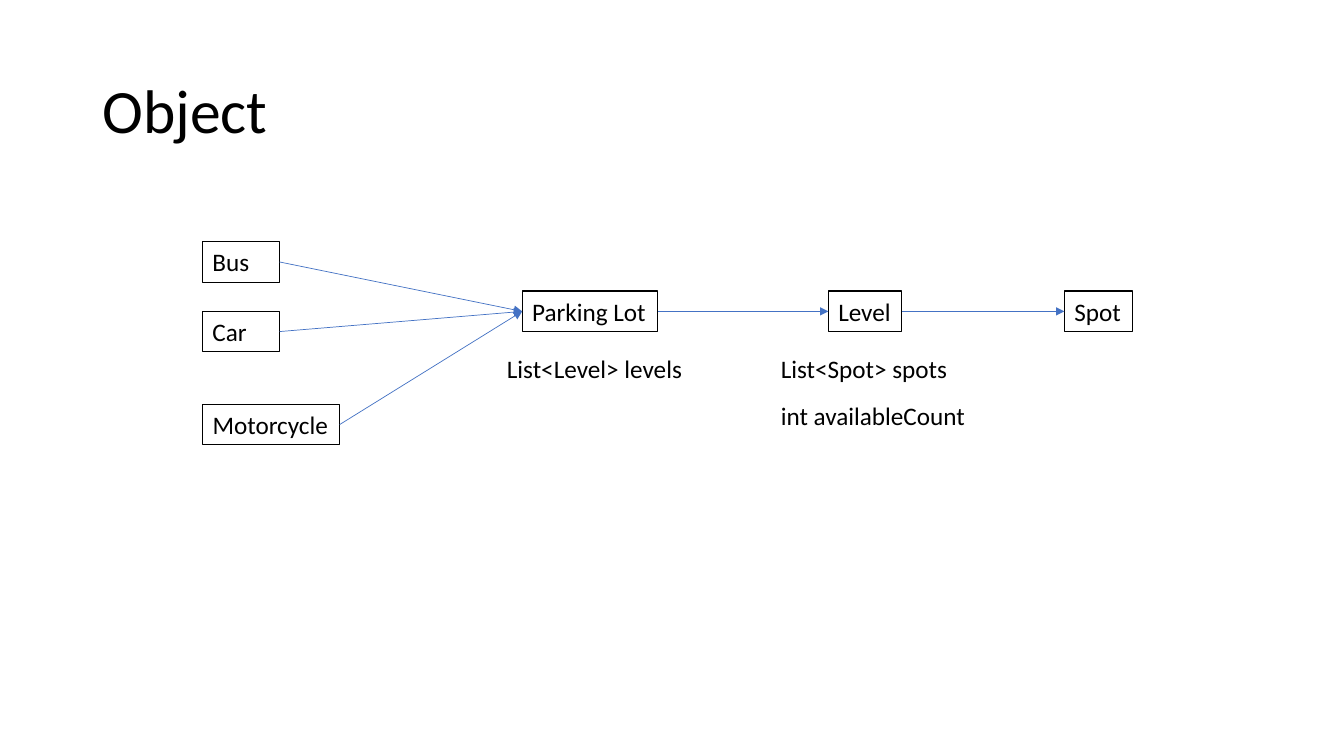
from dataclasses import dataclass

from lxml import etree
from pptx import Presentation, util as u
from pptx.dml.color import RGBColor
from pptx.enum import shapes, text
from pptx.oxml import ns


@dataclass(frozen=True)
class Theme:
    font: str = "Calibri"
    ink: RGBColor = RGBColor(0, 0, 0)
    arrow: RGBColor = RGBColor(0x44, 0x72, 0xC4)
    title: float = 44
    body: float = 18
    edge: float = 0.75
    link: float = 0.5
    high: float = 29.08


THEME = Theme()
LEFT, RIGHT = 1, 3


def add_label(slide, words, left, top, width, high=THEME.high, size=THEME.body):
    label = slide.shapes.add_textbox(u.Pt(left), u.Pt(top), u.Pt(width), u.Pt(high))
    frame = label.text_frame
    frame.text = words
    frame.word_wrap = False
    font = frame.paragraphs[0].runs[0].font
    font.name = THEME.font
    font.size = u.Pt(size)
    font.color.rgb = THEME.ink
    return label


def add_title(slide, words):
    frame = add_label(slide, words, 66, 28.75, 828, 104.4, THEME.title).text_frame
    frame.word_wrap = True
    frame.vertical_anchor = text.MSO_ANCHOR.MIDDLE
    frame.paragraphs[0].line_spacing = 0.9


def add_box(slide, words, left, top, width):
    box = add_label(slide, words, left, top, width)
    box.line.color.rgb = THEME.ink
    box.line.width = u.Pt(THEME.edge)
    return box


def add_arrow(slide, start, end):
    arrow = slide.shapes.add_connector(shapes.MSO_CONNECTOR.STRAIGHT, 0, 0, 0, 0)
    arrow.begin_connect(start, RIGHT)
    arrow.end_connect(end, LEFT)
    arrow.line.color.rgb = THEME.arrow
    arrow.line.width = u.Pt(THEME.link)
    line = arrow.line._get_or_add_ln()
    etree.SubElement(line, ns.qn("a:tailEnd"), type="triangle")
    etree.SubElement(arrow._element.spPr, ns.qn("a:effectLst"))


def main():
    deck = Presentation()
    deck.slide_width, deck.slide_height = u.Pt(960), u.Pt(540)
    slide = deck.slides.add_slide(deck.slide_layouts[6])
    add_title(slide, "Object")

    cars = [
        add_box(slide, words, 144.7, top, width)
        for words, top, width in (
            ("Bus", 172.6, 55),
            ("Car", 222.3, 55),
            ("Motorcycle", 288.7, 98),
        )
    ]
    lot, level, spot = [
        add_box(slide, words, left, 207.9, width)
        for words, left, width in (
            ("Parking Lot", 373, 96.9),
            ("Level", 591.7, 52.6),
            ("Spot", 760.3, 48.5),
        )
    ]
    for start, end in [(car, lot) for car in cars] + [(lot, level), (level, spot)]:
        add_arrow(slide, start, end)

    for words, left, top, width in (
        ("List<Level> levels", 355, 248.5, 141),
        ("List<Spot> spots", 550.6, 248.5, 134.5),
        ("int availableCount", 550.6, 282.5, 148.5),
    ):
        add_label(slide, words, left, top, width)

    deck.save("out.pptx")


if __name__ == "__main__":
    main()
